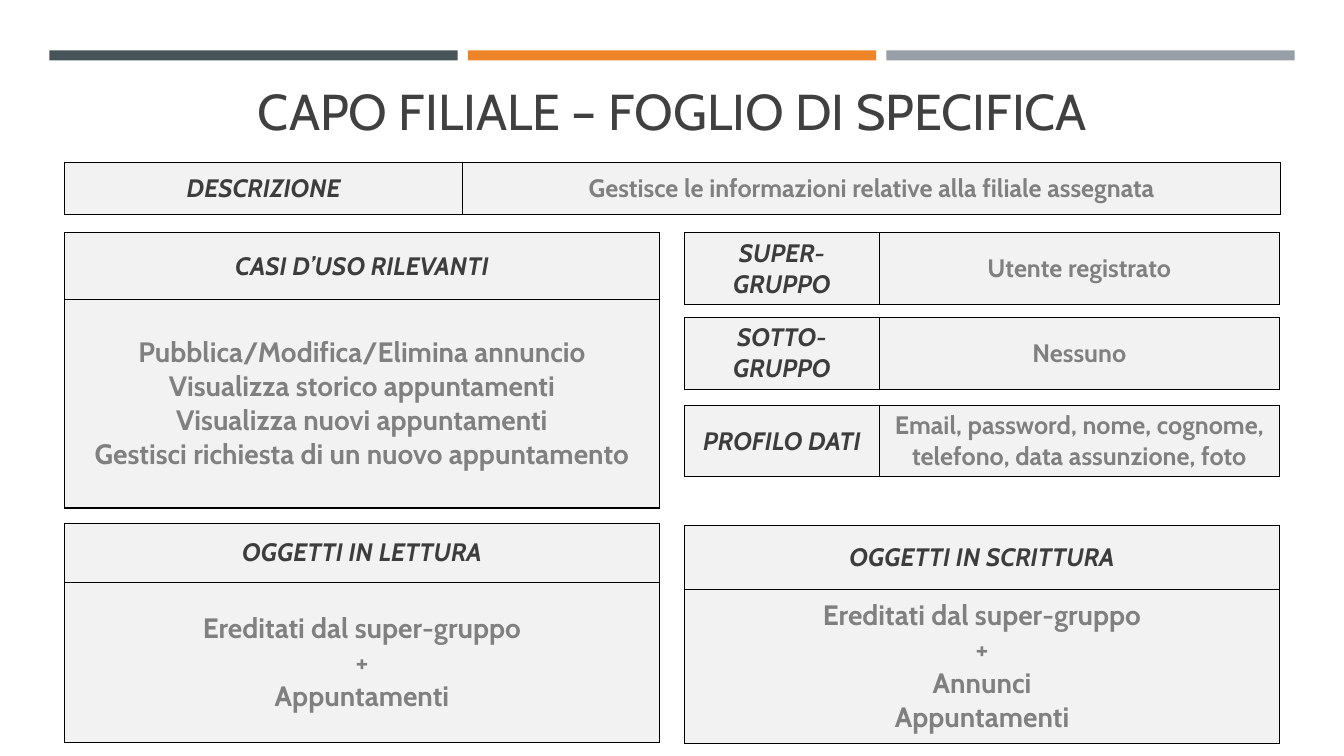
import pptx
import pptx.util
import pptx.dml.color
import pptx.enum.shapes
import pptx.enum.text
import pptx.oxml.ns
import lxml.etree

Inches = pptx.util.Inches
FONT = "Cabin"
LEFT, RIGHT, HALF_WIDTH = 0.64, 6.79, 5.9


def color(value):
    """Turn a hex string into a colour."""
    return pptx.dml.color.RGBColor.from_string(value)


def add_text(paragraph, text, size, hex_color, bold=False, italic=False):
    """Add one centred, formatted run to a paragraph."""
    paragraph.alignment = pptx.enum.text.PP_ALIGN.CENTER
    run = paragraph.add_run()
    run.text = text
    run.font.name = FONT
    run.font.size = pptx.util.Pt(size)
    run.font.bold = bold
    run.font.italic = italic
    run.font.color.rgb = color(hex_color)


def add_borders(cell):
    """Draw a black one-point line on all four sides of a cell."""
    properties = cell._tc.get_or_add_tcPr()
    for side in ("a:lnL", "a:lnR", "a:lnT", "a:lnB"):
        line = lxml.etree.SubElement(properties, pptx.oxml.ns.qn(side), w="12700")
        fill = lxml.etree.SubElement(line, pptx.oxml.ns.qn("a:solidFill"))
        lxml.etree.SubElement(fill, pptx.oxml.ns.qn("a:srgbClr"), val="000000")


def fill_cell(cell, lines, size, hex_color, italic=False):
    """Format a cell and write its lines as paragraphs."""
    add_borders(cell)
    cell.fill.solid()
    cell.fill.fore_color.rgb = color("F2F2F2")
    cell.vertical_anchor = pptx.enum.text.MSO_ANCHOR.MIDDLE
    frame = cell.text_frame
    for index, text in enumerate(lines):
        paragraph = frame.add_paragraph() if index else frame.paragraphs[0]
        add_text(paragraph, text, size, hex_color, True, italic)


def add_sheet_table(slide, left, top, widths, heights, label, lines, size):
    """Add a label cell followed by a value cell, beside or below it."""
    table = slide.shapes.add_table(
        len(heights), len(widths), Inches(left), Inches(top),
        Inches(sum(widths)), Inches(sum(heights))).table
    table.first_row = table.horz_banding = False
    for column, width in zip(table.columns, widths):
        column.width = Inches(width)
    for row, height in zip(table.rows, heights):
        row.height = Inches(height)
    fill_cell(table.cell(0, 0), [label], 18, "3D3D3D", True)
    value_cell = table.cell(len(heights) - 1, len(widths) - 1)
    fill_cell(value_cell, lines, size, "808080")


def add_field(slide, left, top, widths, height, label, value):
    """Add a field with its label on the left."""
    add_sheet_table(slide, left, top, widths, [height], label, [value], 18)


def add_list_box(slide, left, top, heights, label, lines):
    """Add a box with its label above a list of lines."""
    add_sheet_table(slide, left, top, [HALF_WIDTH], heights, label, lines, 20)


def add_header_bars(slide, left, top, width, gap):
    """Add the three coloured bars along the top."""
    for index, fill in enumerate(("465359", "ED8428", "969FA7")):
        bar = slide.shapes.add_shape(
            pptx.enum.shapes.MSO_SHAPE.RECTANGLE,
            Inches(left + index * (width + gap)), Inches(top),
            Inches(width), Inches(0.1))
        bar.shadow.inherit = False
        bar.fill.solid()
        bar.fill.fore_color.rgb = color(fill)
        bar.line.fill.background()


def set_title(slide, left, top, width, height, text):
    """Place and write the title."""
    title = slide.shapes.title
    title.left, title.top = Inches(left), Inches(top)
    title.width, title.height = Inches(width), Inches(height)
    title.text_frame.vertical_anchor = pptx.enum.text.MSO_ANCHOR.BOTTOM
    add_text(title.text_frame.paragraphs[0], text, 36, "404040")


def build_specification_slide(presentation):
    """Build the specification sheet of the branch manager."""
    slide = presentation.slides.add_slide(presentation.slide_layouts[5])
    add_header_bars(slide, 0.49, 0.5, 4.05, 0.1)
    set_title(slide, LEFT, 0.62, 12.06, 0.82, "CAPO FILIALE – FOGLIO DI SPECIFICA")
    add_field(slide, LEFT, 1.61, [3.95, 8.11], 0.52, "DESCRIZIONE",
              "Gestisce le informazioni relative alla filiale assegnata")
    add_list_box(slide, LEFT, 2.31, [0.66, 2.07], "CASI D’USO RILEVANTI", [
        "Pubblica/Modifica/Elimina annuncio",
        "Visualizza storico appuntamenti",
        "Visualizza nuovi appuntamenti",
        "Gestisci richiesta di un nuovo appuntamento"])
    inherited = ["Ereditati dal super-gruppo", "+"]
    add_list_box(slide, LEFT, 5.19, [0.59, 1.59], "OGGETTI IN LETTURA",
                 inherited + ["Appuntamenti"])
    add_list_box(slide, RIGHT, 5.21, [0.64, 1.53], "OGGETTI IN SCRITTURA",
                 inherited + ["Annunci", "Appuntamenti"])
    for top, label, value in (
            (2.31, "SUPER-GRUPPO", "Utente registrato"),
            (3.15, "SOTTO-GRUPPO", "Nessuno"),
            (4.02, "PROFILO DATI",
             "Email, password, nome, cognome, telefono, data assunzione, foto")):
        add_field(slide, RIGHT, top, [1.93, 3.97], 0.71, label, value)


presentation = pptx.Presentation()
presentation.slide_width = Inches(13.33)
presentation.slide_height = Inches(7.5)
build_specification_slide(presentation)
presentation.save("out.pptx")
